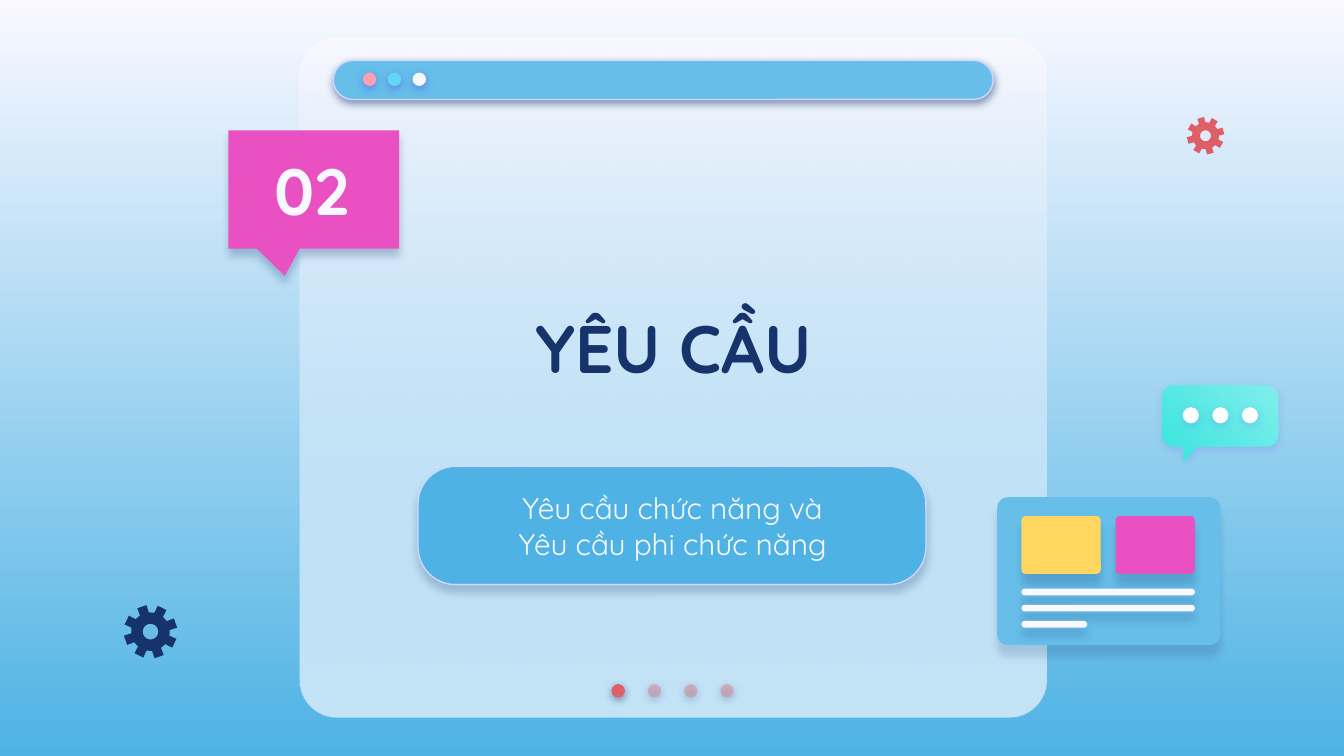
import math

from lxml import etree
from pptx import Presentation
from pptx.dml.color import RGBColor
from pptx.enum import shapes, text
from pptx.oxml.ns import qn
from pptx.util import Inches, Pt

COLORS = {
    "white": "F9F8FF", "pure": "FFFFFF", "sky": "66BEE9", "blue": "4EB3E4",
    "navy": "17336B", "lilac": "D2D6FF", "violet": "5352EE", "magenta": "E951C2",
    "yellow": "FFD65F", "red": "DF5F69", "rose": "E27B83", "pink": "FDA0B4",
    "cyan": "60D8F4", "mint": "81EEEB", "teal": "3AE4DF",
}
FONT = "Quicksand"
ROUND = shapes.MSO_SHAPE.ROUNDED_RECTANGLE
OVAL = shapes.MSO_SHAPE.OVAL
CALLOUT = shapes.MSO_SHAPE.ROUNDED_RECTANGULAR_CALLOUT


def rgb(name):
    return RGBColor.from_string(COLORS[name])


def add_alpha(fill_xml, percent):
    """Make the last colour of a fill partly transparent."""
    color = list(fill_xml.iter(qn("a:srgbClr")))[-1]
    etree.SubElement(color, qn("a:alpha"), val=str(percent * 1000))


def set_gradient(fill, start, end, angle=90):
    """Two-stop gradient; the angle runs clockwise."""
    fill.gradient()
    fill.gradient_angle = 360 - angle
    for stop, name in zip(fill.gradient_stops, (start, end)):
        stop.color.rgb = rgb(name)


def style(sp, fill, alpha=None, line=None, shadow=None, angle=90):
    """fill is a colour or a pair; shadow is colour, opacity, blur, distance."""
    if isinstance(fill, tuple):
        set_gradient(sp.fill, *fill, angle=angle)
    else:
        sp.fill.solid()
        sp.fill.fore_color.rgb = rgb(fill)
    if alpha is not None:
        add_alpha(sp._element.spPr, alpha)
    if line:
        sp.line.color.rgb = rgb(line)
        sp.line.width = Pt(0.75)
    else:
        sp.line.fill.background()
    sp.shadow.inherit = False
    if shadow:
        name, opacity, blur, dist = shadow
        effects = sp._element.spPr.find(qn("a:effectLst"))
        outer = etree.SubElement(
            effects, qn("a:outerShdw"), blurRad=str(Pt(blur)), dist=str(Pt(dist)),
            dir="5400000", algn="bl", rotWithShape="0")
        color = etree.SubElement(outer, qn("a:srgbClr"), val=COLORS[name])
        etree.SubElement(color, qn("a:alpha"), val=str(opacity * 1000))


def add_preset(s, kind, x, y, w, h, fill, radius=None, **fmt):
    sp = s.shapes.add_shape(kind, *map(Inches, (x, y, w, h)))
    if radius is not None:
        sp.adjustments[0] = radius / min(w, h)
    style(sp, fill, **fmt)
    return sp


def add_dots(s, x, y, size, step, fills, **fmt):
    for i, fill in enumerate(fills):
        add_preset(s, OVAL, x + i * step, y, size, size, fill, **fmt)


def arc(cx, cy, r, start, end, steps=12):
    angles = [math.radians(start + (end - start) * i / steps) for i in range(steps + 1)]
    return [(cx + r * math.cos(a), cy + r * math.sin(a)) for a in angles]


def add_outline(s, contours, fill, **fmt):
    builder = None
    for contour in contours:
        first, *rest = [(Inches(x), Inches(y)) for x, y in contour]
        if builder is None:
            builder = s.shapes.build_freeform(*first)
        else:
            builder.move_to(*first)
        builder.add_line_segments(rest, close=True)
    style(builder.convert_to_shape(), fill, **fmt)


def write(sp, words, size, color, bold=False, anchor="MIDDLE", after=0):
    tf = sp.text_frame
    tf.word_wrap = True
    tf.auto_size = text.MSO_AUTO_SIZE.NONE
    tf.vertical_anchor = getattr(text.MSO_ANCHOR, anchor)
    tf.margin_left = tf.margin_right = tf.margin_top = tf.margin_bottom = Inches(0.1)
    p = tf.paragraphs[0]
    p.text = words
    p.alignment = text.PP_ALIGN.CENTER
    p.space_after = Pt(after)
    for r in p.runs:
        r.font.name, r.font.size, r.font.bold = FONT, Pt(size), bold
        r.font.color.rgb = rgb(color)
    for br in p._p.findall(qn("a:br")):
        etree.SubElement(br, qn("a:rPr"), sz=str(size * 100))


def add_text(s, x, y, w, h, words, **fmt):
    write(s.shapes.add_textbox(*map(Inches, (x, y, w, h))), words, **fmt)


def window(s, x, y, w, h):
    """Translucent panel with a title bar and page dots."""
    add_preset(s, ROUND, x, y, w, h, "white", radius=0.28)
    add_preset(s, ROUND, x, y, w, h, ("white", "sky"), radius=0.28, alpha=35)
    shadow = ("navy", 50, 4.5, 1.5)
    add_dots(s, x + 2.32, y + 4.81, 0.1, 0.27, ["red"], shadow=shadow)
    add_dots(s, x + 2.59, y + 4.81, 0.1, 0.27, ["rose"] * 3, alpha=44, shadow=shadow)
    add_preset(s, ROUND, x + 0.25, y + 0.17, 4.91, 0.29, "sky", radius=0.15,
               line="lilac", shadow=shadow)
    add_dots(s, x + 0.47, y + 0.26, 0.1, 0.37 / 2, ["pink", "cyan", "white"],
             shadow=("violet", 50, 4.5, 1.5))


def number_callout(s, x, y, w, h, number):
    sp = add_preset(s, CALLOUT, x, y, w, h, "magenta", shadow=("navy", 25, 4.5, 3.8))
    for i, value in enumerate((-0.17, 0.73, 0)):
        sp.adjustments[i] = value
    add_text(s, x + 0.09, y + 0.05, 1.06, 0.78, number, size=35, color="white",
             bold=True, anchor="BOTTOM")


def subtitle_pill(s, x, y, w, h, words):
    add_preset(s, ROUND, x, y, w, h, "blue", radius=0.28, line="lilac",
               shadow=("navy", 24, 4.5, 3.8))
    add_text(s, x + 0.39, y + 0.05, 3.01, 0.78, words, size=16, color="white", after=12)


def content_card(s, x, y, w, h):
    """Card with two tiles above three lines."""
    add_preset(s, ROUND, x, y, w, h, "sky", radius=0.08, shadow=("navy", 17, 4.5, 6))
    for i, fill in enumerate(("yellow", "magenta")):
        add_preset(s, ROUND, x + 0.18 + i * 0.7, y + 0.14, 0.59, 0.43, fill,
                   radius=0.03, shadow=("navy", 20, 4.5, 6))
    for i, length in enumerate((1.29, 1.29, 0.49)):
        add_preset(s, ROUND, x + 0.18, y + 0.68 + i * 0.12, length, 0.05, "white",
                   radius=0.03, shadow=("navy", 21, 4.5, 4.5))


def chat_bubble(s, x, y, w, h):
    shadow, r = ("violet", 18, 4.5, 1.5), 0.08
    outline = (arc(x + r, y + r, r, 180, 270) + arc(x + w - r, y + r, r, 270, 360)
               + arc(x + w - r, y + h - r, r, 0, 90)
               + [(x + 0.26, y + h), (x + 0.16, y + h + 0.11), (x + 0.16, y + h)]
               + arc(x + r, y + h - r, r, 90, 180))
    add_outline(s, [outline], ("mint", "teal"), angle=135, shadow=shadow)
    add_dots(s, x + 0.15, y + 0.16, 0.12, 0.22, ["pure"] * 3, shadow=shadow)


def gear(s, x, y, size, turn, fill):
    """Eight-toothed wheel with a round hole."""
    r = size / 2
    cx, cy = x + r, y + r
    teeth = []
    for i in range(8):
        for radius, offset in ((0.72, -14), (1, -10.5), (1, 10.5), (0.72, 14)):
            teeth += arc(cx, cy, radius * r, turn + i * 45 + offset, 0, steps=1)[:1]
    add_outline(s, [teeth, arc(cx, cy, 0.29 * r, 0, 360, steps=36)], fill)


def main():
    prs = Presentation()
    prs.slide_width, prs.slide_height = Inches(10), Inches(10 * 9 / 16)
    s = prs.slides.add_slide(prs.slide_layouts[5])
    set_gradient(s.background.fill, "white", "blue")

    window(s, 2.23, 0.28, 5.56, 5.06)
    title = s.shapes.title
    title.left, title.top, title.width, title.height = map(Inches, (2.71, 1.67, 4.6, 1.82))
    write(title, "YÊU CẦU", size=36, color="navy", bold=True)
    s.shapes._spTree.append(title._element)  # bring in front of the window

    number_callout(s, 1.7, 0.97, 1.27, 0.88, "02")
    subtitle_pill(s, 3.11, 3.47, 3.78, 0.88, "Yêu cầu chức năng và\vYêu cầu phi chức năng")
    content_card(s, 7.42, 3.7, 1.66, 1.1)
    chat_bubble(s, 8.65, 2.87, 0.86, 0.45)
    gear(s, 0.92, 4.5, 0.4, -109, "navy")
    gear(s, 8.83, 0.87, 0.28, -105, "red")
    prs.save("out.pptx")


if __name__ == "__main__":
    main()
